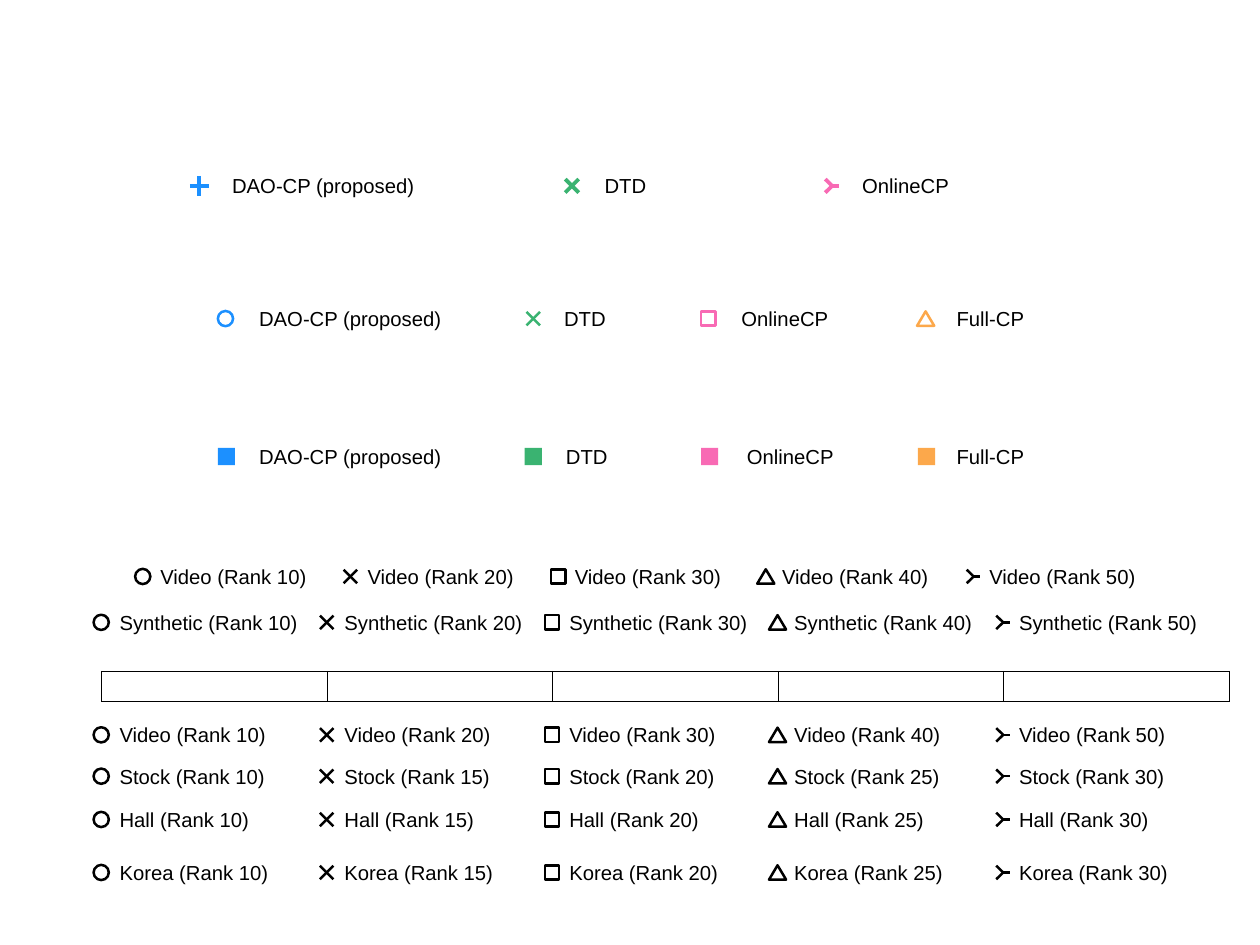
from dataclasses import dataclass

from lxml.etree import SubElement
from pptx import Presentation
from pptx.dml.color import RGBColor
from pptx.enum.shapes import MSO_CONNECTOR as Connector, MSO_SHAPE as Preset
from pptx.enum.text import MSO_ANCHOR as Anchor, MSO_AUTO_SIZE as AutoSize
from pptx.oxml import parse_xml
from pptx.oxml.ns import nsdecls, qn
from pptx.util import Pt


@dataclass(frozen=True)
class Theme:
    """Colours, type and line weights of the slide."""
    black: str = "000000"
    blue: str = "1C90FF"
    green: str = "3AB371"
    pink: str = "F86AB4"
    orange: str = "FCA84B"
    font: str = "Arial"
    size: float = 16.2
    thin: float = 2
    thick: float = 3
    border: float = 1


THEME = Theme()
LABEL_HEIGHT = 26.6
RANK_MARKERS = ("circle", "cross", "square", "triangle", "arrow")
OUTLINES = {
    "circle": (Preset.OVAL, 12.2, 12.2),
    "square": (Preset.RECTANGLE, 11.5, 11.5),
    "triangle": (Preset.ISOSCELES_TRIANGLE, 13.7, 11.5),
    "block": (Preset.RECTANGLE, 13.7, 13.7),
}
STROKES = {
    "plus": ((-7.6, 0, 7.6, 0), (0, -7.9, 0, 7.9)),
    "cross": ((-5.4, -5.4, 5.4, 5.4), (5.4, -5.4, -5.4, 5.4)),
    "arrow": ((-1.1, 0, 5.4, 0), (-5.4, -5.4, 0.2, 0), (-5.4, 5.4, 0.2, 0)),
}
LABEL_WIDTHS = {
    "DAO-CP": 162, "DTD": 48.2, "OnlineCP": 85.3, "Full-CP": 70.6,
    "Video": 132.5, "Synthetic": 158.4, "Stock": 131.8, "Hall": 119.5, "Korea": 134.6,
}
METHOD_LEGENDS = (
    (148.7, THEME.thick, (
        ("plus", THEME.blue, 159.5, "DAO-CP (proposed)", 178.6),
        ("cross", THEME.green, 457.6, "DTD", 476.6),
        ("arrow", THEME.pink, 665.6, "OnlineCP", 682.6))),
    (254.9, THEME.thin, (
        ("circle", THEME.blue, 180.4, "DAO-CP (proposed)", 200.2),
        ("cross", THEME.green, 426.6, "DTD", 444.2),
        ("square", THEME.pink, 566.6, "OnlineCP", 586.1),
        ("triangle", THEME.orange, 740.5, "Full-CP", 758.2))),
    (365.2, THEME.thin, (
        ("block", THEME.blue, 181.1, "DAO-CP (proposed)", 200.2),
        ("block", THEME.green, 426.6, "DTD", 445.7),
        ("block", THEME.pink, 567.7, "OnlineCP", 590.4),
        ("block", THEME.orange, 741.2, "Full-CP", 758.2))),
)
WIDE_GRID = (81, 180.35, 88.6, 179.9)
NARROW_GRID = (114.2, 166.15, 121.2, 165.8)
TENS = (10, 20, 30, 40, 50)
FIVES = (10, 15, 20, 25, 30)
RANK_LEGENDS = (
    ("Video", 461.2, TENS, NARROW_GRID),
    ("Synthetic", 497.9, TENS, WIDE_GRID),
    ("Video", 587.9, TENS, WIDE_GRID),
    ("Stock", 621, TENS[:0] + FIVES, WIDE_GRID),
    ("Hall", 655.6, FIVES, WIDE_GRID),
    ("Korea", 698, FIVES, WIDE_GRID),
)


def add_text(slide, text, *, left, middle, width, size=THEME.size, color=THEME.black):
    """Add a one-line label centred vertically on middle."""
    box = slide.shapes.add_textbox(
        Pt(left), Pt(middle - LABEL_HEIGHT / 2), Pt(width), Pt(LABEL_HEIGHT))
    frame = box.text_frame
    frame.word_wrap = False
    frame.auto_size = AutoSize.SHAPE_TO_FIT_TEXT
    run = frame.paragraphs[0].add_run()
    run.text = text
    run.font.name = THEME.font
    run.font.size = Pt(size)
    run.font.color.rgb = RGBColor.from_string(color)


def add_outline_marker(slide, kind, x, y, color, weight):
    """Add a preset marker centred on a point, filled only for a block."""
    preset, width, height = OUTLINES[kind]
    shape = slide.shapes.add_shape(
        preset, Pt(x - width / 2), Pt(y - height / 2), Pt(width), Pt(height))
    shape.shadow.inherit = False
    if kind == "block":
        shape.fill.solid()
        shape.fill.fore_color.rgb = RGBColor.from_string(color)
        shape.line.fill.background()
    else:
        shape.fill.background()
        shape.line.color.rgb = RGBColor.from_string(color)
        shape.line.width = Pt(weight)


def add_stroke_marker(slide, kind, x, y, color, weight):
    """Add a grouped marker of straight strokes centred on a point."""
    group = slide.shapes.add_group_shape()
    for x1, y1, x2, y2 in STROKES[kind]:
        connector = group.shapes.add_connector(
            Connector.STRAIGHT, Pt(x + x1), Pt(y + y1), Pt(x + x2), Pt(y + y2))
        connector.line.color.rgb = RGBColor.from_string(color)
        connector.line.width = Pt(weight)
        SubElement(connector._element.spPr, qn("a:effectLst"))


def add_entry(slide, kind, x, y, color, weight, label, left):
    """Add a legend marker and its label."""
    add_marker = add_outline_marker if kind in OUTLINES else add_stroke_marker
    add_marker(slide, kind, x, y, color, weight)
    add_text(slide, label, left=left, middle=y, width=LABEL_WIDTHS[label.split()[0]])


def add_rank_legend(slide, name, middle, ranks, grid):
    """Add one row of black rank entries at equal steps."""
    marker_start, marker_step, label_start, label_step = grid
    for index, (kind, rank) in enumerate(zip(RANK_MARKERS, ranks)):
        add_entry(slide, kind, marker_start + index * marker_step, middle, THEME.black,
                  THEME.thin, f"{name} (Rank {rank})", label_start + index * label_step)


def add_empty_table(slide, left, top, column_width, height, columns):
    """Add a one-row table with borders and no fill."""
    table = slide.shapes.add_table(
        1, columns, Pt(left), Pt(top), Pt(column_width * columns), Pt(height)).table
    table.first_row = False
    table.horz_banding = False
    for cell in table.iter_cells():
        cell.margin_top = cell.margin_bottom = 0
        cell.vertical_anchor = Anchor.MIDDLE
        properties = cell._tc.get_or_add_tcPr()
        for side in "LRTB":
            properties.append(parse_xml(
                f'<a:ln{side} {nsdecls("a")} w="{Pt(THEME.border)}"><a:solidFill>'
                f'<a:srgbClr val="{THEME.black}"/></a:solidFill></a:ln{side}>'))
        cell.fill.background()


def main():
    """Build the legend slide and save it."""
    presentation = Presentation()
    presentation.slide_width = Pt(1008)
    presentation.slide_height = Pt(756)
    slide = presentation.slides.add_slide(presentation.slide_layouts[6])
    for middle, weight, entries in METHOD_LEGENDS:
        for kind, color, x, label, left in entries:
            add_entry(slide, kind, x, middle, color, weight, label, left)
    add_empty_table(slide, 81.4, 537.1, 180.4, 23.8, 5)
    for legend in RANK_LEGENDS:
        add_rank_legend(slide, *legend)
    presentation.save("out.pptx")


if __name__ == "__main__":
    main()
